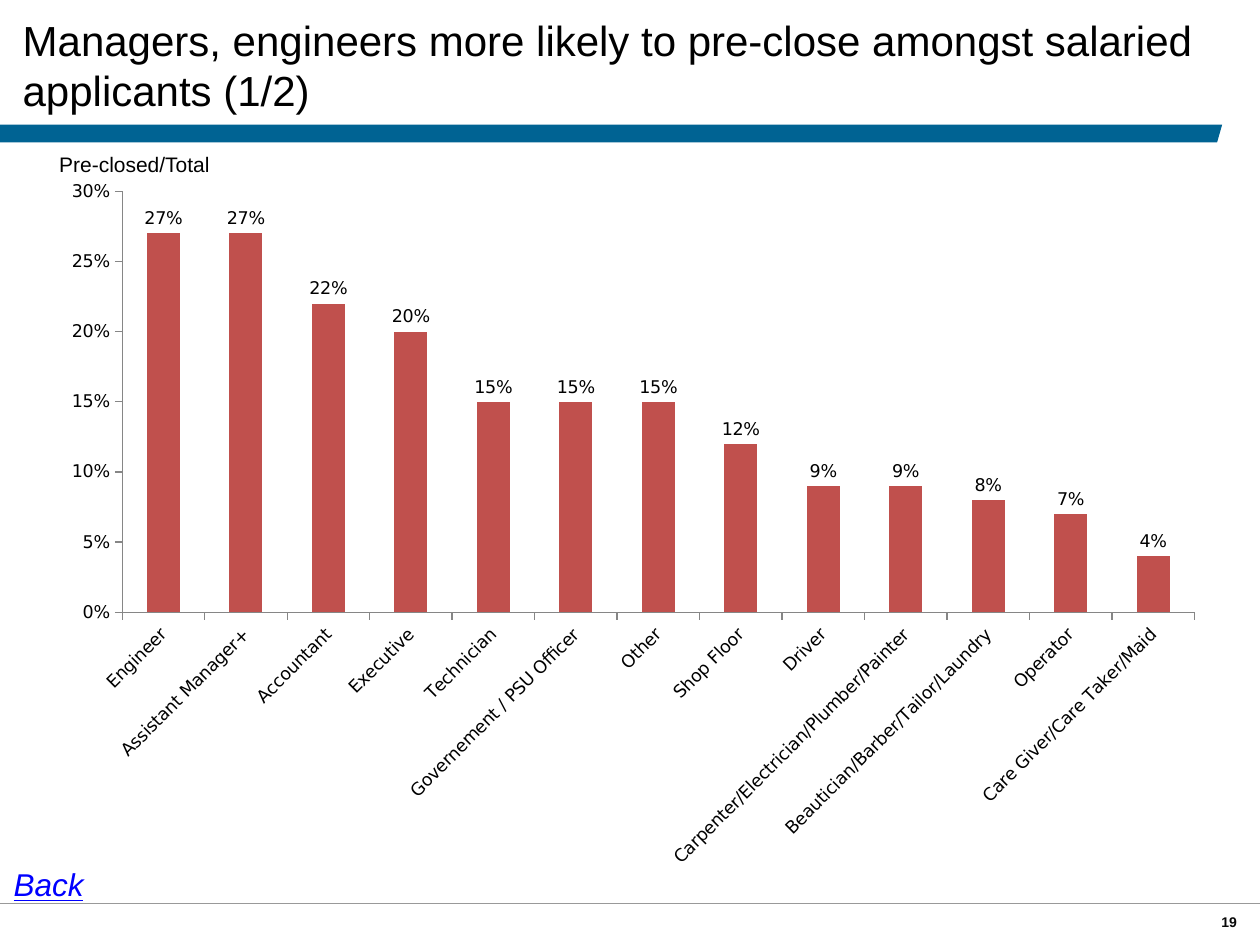
from dataclasses import dataclass, field

from lxml.etree import SubElement
from pptx import Presentation
from pptx.chart.data import CategoryChartData
from pptx.dml.color import RGBColor
from pptx.enum.chart import XL_CHART_TYPE, XL_LABEL_POSITION, XL_TICK_MARK
from pptx.enum.shapes import MSO_CONNECTOR, MSO_SHAPE
from pptx.enum.text import MSO_ANCHOR, PP_ALIGN
from pptx.oxml import parse_xml
from pptx.oxml.ns import nsdecls, qn
from pptx.util import Inches, Pt

COLORS = {
    "band": "006393",
    "rule": "999999",
    "bar": "C0504D",
    "axis": "868686",
    "text": "000000",
    "number": "080808",
    "link": "0000FF",
}

PRE_CLOSED_SHARE = {
    "Engineer": 0.27,
    "Assistant Manager+": 0.27,
    "Accountant": 0.22,
    "Executive": 0.20,
    "Technician": 0.15,
    "Governement / PSU Officer": 0.15,
    "Other": 0.15,
    "Shop Floor": 0.12,
    "Driver": 0.09,
    "Carpenter/Electrician/Plumber/Painter": 0.09,
    "Beautician/Barber/Tailor/Laundry": 0.08,
    "Operator": 0.07,
    "Care Giver/Care Taker/Maid": 0.04,
}


@dataclass
class Box:
    left: float
    top: float
    width: float
    height: float

    def lengths(self) -> list:
        return [Inches(v) for v in (self.left, self.top, self.width, self.height)]


@dataclass
class Label:
    text: str
    box: Box
    size: int
    color: str = "text"
    insets: tuple = (0, 0, 0, 0)  # left, top, right, bottom
    frame_format: dict = field(default_factory=dict)
    font_format: dict = field(default_factory=dict)
    align: PP_ALIGN = PP_ALIGN.LEFT
    preset: MSO_SHAPE | None = None


CHART_BOX = Box(0.39, 1.33, 9.28, 5.67)
PLOT_BOX = Box(0.97, 1.52, 8.51, 3.34)

LABELS = [
    Label("19", Box(9.59, 7.27, 0.33, 0.09), 8, "number",
          frame_format={"vertical_anchor": MSO_ANCHOR.MIDDLE, "word_wrap": False},
          font_format={"bold": True}, align=PP_ALIGN.CENTER,
          preset=MSO_SHAPE.ROUNDED_RECTANGLE),
    Label("Managers, engineers more likely to pre-close amongst salaried applicants (1/2)",
          Box(0.18, 0.06, 9.49, 0.91), 24, insets=(0, 0, 0.07, 0),
          frame_format={"vertical_anchor": MSO_ANCHOR.MIDDLE, "word_wrap": True}),
    Label("Pre-closed/Total", Box(0.43, 1.16, 1.4, 0.28), 12, insets=(0.04,) * 4,
          frame_format={"word_wrap": True}),
    Label("Back", Box(0.01, 6.82, 0.76, 0.4), 18, "link", insets=(0.1, 0.05, 0.1, 0.05),
          frame_format={"word_wrap": False},
          font_format={"italic": True, "underline": True}),
]


def rgb(name: str) -> RGBColor:
    return RGBColor.from_string(COLORS[name])


def apply_format(target, values: dict) -> None:
    for name, value in values.items():
        setattr(target, name, value)


def draw_label(slide, label: Label) -> None:
    if label.preset is None:
        shape = slide.shapes.add_textbox(*label.box.lengths())
    else:
        shape = slide.shapes.add_shape(label.preset, *label.box.lengths())
        shape.shadow.inherit = False
        shape.fill.background()
        shape.line.fill.background()
    frame = shape.text_frame
    sides = ("margin_left", "margin_top", "margin_right", "margin_bottom")
    margins = {side: Inches(inset) for side, inset in zip(sides, label.insets)}
    apply_format(frame, margins | label.frame_format)
    paragraph = frame.paragraphs[0]
    paragraph.alignment = label.align
    run = paragraph.add_run()
    run.text = label.text
    apply_format(run.font, {"name": "Arial", "size": Pt(label.size)} | label.font_format)
    run.font.color.rgb = rgb(label.color)


def draw_band(slide) -> None:
    builder = slide.shapes.build_freeform(0, Inches(0.99))
    corners = [(9.7, 0.99), (9.66, 1.13), (0, 1.13)]
    builder.add_line_segments([(Inches(x), Inches(y)) for x, y in corners], close=True)
    band = builder.convert_to_shape()
    band.shadow.inherit = False
    band.fill.solid()
    band.fill.fore_color.rgb = rgb("band")
    band.line.fill.background()


def draw_footer_rule(slide) -> None:
    rule = slide.shapes.add_connector(
        MSO_CONNECTOR.STRAIGHT, 0, Inches(7.17), Inches(10), Inches(7.17))
    rule.line.color.rgb = rgb("rule")
    rule.line.width = Pt(1)
    SubElement(rule._element.spPr, qn("a:effectLst"))


def place_plot(chart, chart_box: Box, plot_box: Box) -> None:
    """Fix the inner plot area as fractions of the chart."""
    fractions = {
        "x": (plot_box.left - chart_box.left) / chart_box.width,
        "y": (plot_box.top - chart_box.top) / chart_box.height,
        "w": plot_box.width / chart_box.width,
        "h": plot_box.height / chart_box.height,
    }
    modes = '<c:xMode val="edge"/><c:yMode val="edge"/>'
    sizes = "".join(f'<c:{key} val="{value:.4f}"/>' for key, value in fractions.items())
    layout = parse_xml(
        f'<c:layout {nsdecls("c")}><c:manualLayout><c:layoutTarget val="inner"/>'
        f"{modes}{sizes}</c:manualLayout></c:layout>")
    plot_area = chart._chartSpace.chart.plotArea
    for old_layout in plot_area.findall(qn("c:layout")):
        plot_area.remove(old_layout)
    plot_area.insert(0, layout)


def draw_chart(slide) -> None:
    data = CategoryChartData(number_format="0%")
    data.categories = list(PRE_CLOSED_SHARE)
    data.add_series("Series 1", list(PRE_CLOSED_SHARE.values()))
    chart = slide.shapes.add_chart(
        XL_CHART_TYPE.COLUMN_CLUSTERED, *CHART_BOX.lengths(), data).chart
    apply_format(chart, {"has_legend": False, "has_title": False})
    apply_format(chart.font, {"name": "DejaVu Sans", "size": Pt(10)})
    chart.font.color.rgb = rgb("text")
    place_plot(chart, CHART_BOX, PLOT_BOX)

    # Columns and their labels
    plot = chart.plots[0]
    apply_format(plot, {"gap_width": 150, "vary_by_categories": False,
                        "has_data_labels": True})
    apply_format(plot.data_labels, {
        "show_value": True, "number_format": "0%", "number_format_is_linked": False,
        "position": XL_LABEL_POSITION.OUTSIDE_END})
    fill = plot.series[0].format.fill
    fill.solid()
    fill.fore_color.rgb = rgb("bar")

    # Axes
    for axis in (chart.category_axis, chart.value_axis):
        apply_format(axis, {"has_major_gridlines": False,
                            "major_tick_mark": XL_TICK_MARK.OUTSIDE,
                            "minor_tick_mark": XL_TICK_MARK.NONE})
        axis.format.line.color.rgb = rgb("axis")
        axis.format.line.width = Pt(0.75)
        axis.tick_labels.font.size = Pt(10)
    apply_format(chart.value_axis, {"minimum_scale": 0, "maximum_scale": 0.3,
                                    "major_unit": 0.05})
    apply_format(chart.value_axis.tick_labels, {"number_format": "0%",
                                                "number_format_is_linked": False})
    text_body = chart.category_axis._element.find(qn("c:txPr")).find(qn("a:bodyPr"))
    text_body.set("rot", str(-45 * 60000))
    text_body.set("vert", "horz")


def main() -> None:
    presentation = Presentation()
    presentation.slide_width = Inches(10)
    presentation.slide_height = Inches(7.5)
    slide = presentation.slides.add_slide(presentation.slide_layouts[6])
    page_number, title, *chart_labels = LABELS

    # Frame of the slide
    draw_band(slide)
    draw_label(slide, page_number)
    draw_footer_rule(slide)

    # Content
    draw_label(slide, title)
    draw_chart(slide)
    for label in chart_labels:
        draw_label(slide, label)
    presentation.save("out.pptx")


if __name__ == "__main__":
    main()
